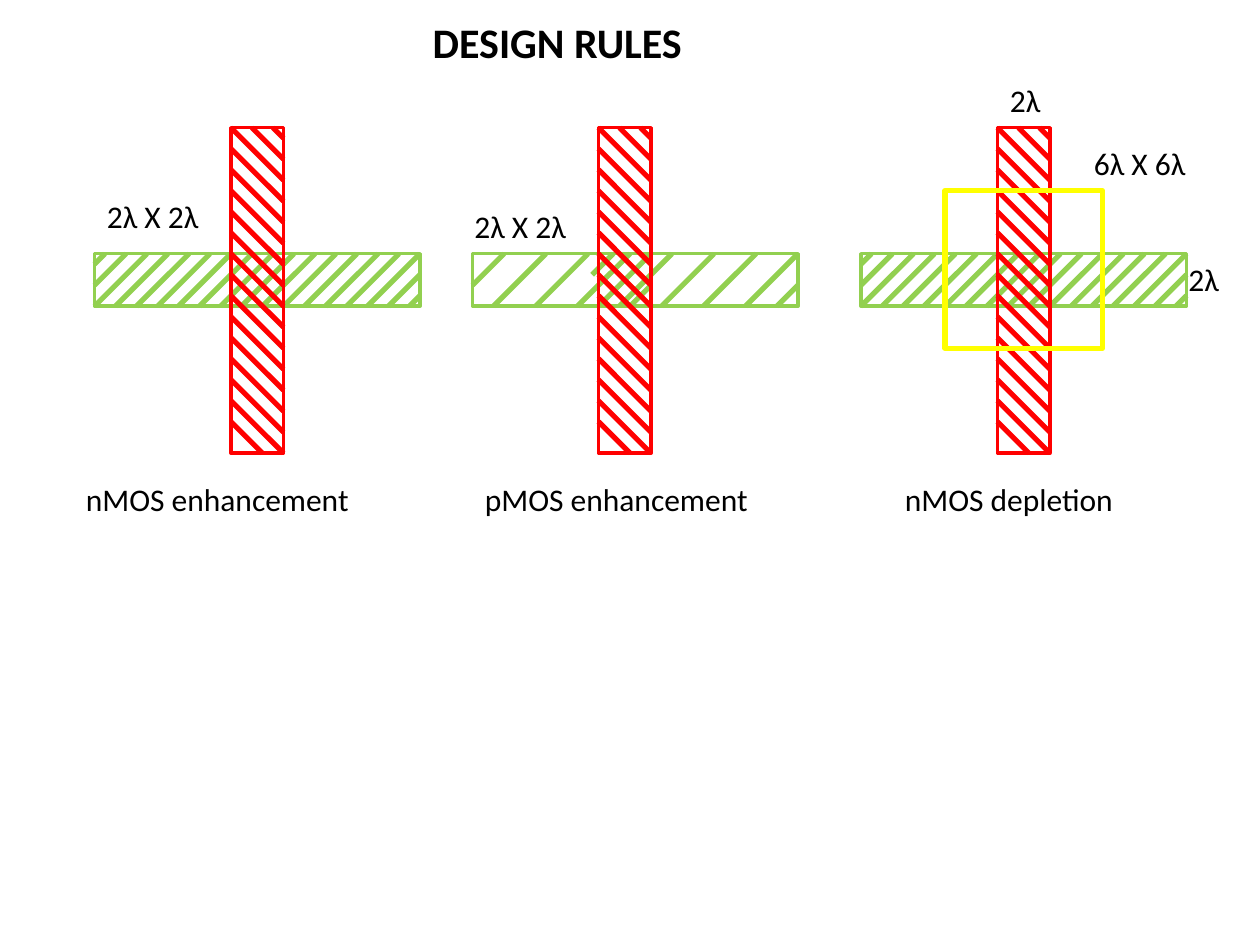
from dataclasses import dataclass

from lxml import etree
from pptx import Presentation
from pptx import util as u
from pptx.dml.color import RGBColor
from pptx.enum import shapes, text
from pptx.oxml.ns import qn

GREEN, RED, YELLOW, BLACK = "92D050", "FF0000", "FFFF00", "000000"
LENGTH, WIDTH = 186, 30        # both bars of a transistor
DIFF_TOP, POLY_TOP = 145, 73   # tops of the green and the red bars
PITCH = 12                     # gap between hatch lines


@dataclass(frozen=True)
class Transistor:
    diff_left: float
    poly_left: float
    hatch: tuple


@dataclass(frozen=True)
class Label:
    words: str
    left: float
    top: float
    width: float


DENSE = tuple(range(6, LENGTH + WIDTH, PITCH))
SPARSE = (*range(18, LENGTH + 1, 2 * PITCH), 204)
POLY_HATCH = tuple(range(6, LENGTH + PITCH + 1, PITCH))

TRANSISTORS = [
    Transistor(54, 132, DENSE),
    Transistor(270, 342, SPARSE),
    Transistor(492, 570, DENSE),
]
# Extra hatching under the gate of the pMOS transistor: x1, y1, x2, y2
PMOS_GATE = [(342, 175, 372, 145), (360, 175, 372, 163), (338.4, 157, 350.4, 145)]

LABELS = [
    Label("2λ X 2λ", 54, 109, 78),
    Label("2λ X 2λ", 264, 115, 78),
    Label("6λ X 6λ", 618, 79, 78),
    Label("2λ", 570, 43, 36),
    Label("2λ", 672, 145, 36),
    Label("nMOS enhancement", 42, 271, 216),
    Label("pMOS enhancement", 270, 271, 198),
    Label("nMOS depletion", 510, 271, 174),
]


def color(value: str) -> RGBColor:
    return RGBColor.from_string(value)


def write(sp, words: str, *, size: float = 18, bold: bool = False) -> None:
    tf = sp.text_frame
    tf.word_wrap = True
    tf.auto_size = text.MSO_AUTO_SIZE.NONE
    tf.vertical_anchor = text.MSO_ANCHOR.TOP
    p = tf.paragraphs[0]
    p.alignment = text.PP_ALIGN.LEFT
    r = p.add_run()
    r.text = words
    r.font.name, r.font.size, r.font.bold = "Calibri", u.Pt(size), bold
    r.font.color.rgb = color(BLACK)


def outline(parent, left: float, top: float, width: float, height: float,
            stroke: str, weight: float) -> None:
    sp = parent.add_shape(shapes.MSO_SHAPE.RECTANGLE, u.Pt(left), u.Pt(top),
                          u.Pt(width), u.Pt(height))
    sp.shadow.inherit = False
    sp.fill.background()
    sp.line.color.rgb = color(stroke)
    sp.line.width = u.Pt(weight)


def line(parent, x1: float, y1: float, x2: float, y2: float, stroke: str) -> None:
    cx = parent.add_connector(shapes.MSO_CONNECTOR.STRAIGHT,
                              u.Pt(x1), u.Pt(y1), u.Pt(x2), u.Pt(y2))
    cx.line.color.rgb = color(stroke)
    cx.line.width = u.Pt(3)
    etree.SubElement(cx._element.spPr, qn("a:effectLst"))


def diagonal(c: float) -> tuple:
    """Ends (along, across) of the line along + across = c, cut to the bar."""
    return (max(0, c - WIDTH), min(c, WIDTH)), (min(c, LENGTH), max(0, c - LENGTH))


def diffusion(parent, left: float, hatch: tuple) -> None:
    outline(parent, left, DIFF_TOP, LENGTH, WIDTH, GREEN, 2)
    for c in hatch:
        (a1, b1), (a2, b2) = diagonal(c)
        line(parent, left + a1, DIFF_TOP + b1, left + a2, DIFF_TOP + b2, GREEN)


def polysilicon(parent, left: float) -> None:
    outline(parent, left, POLY_TOP, WIDTH, LENGTH, RED, 2)
    right = left + WIDTH
    for c in POLY_HATCH:
        (a1, b1), (a2, b2) = diagonal(c)
        line(parent, right - b1, POLY_TOP + a1, right - b2, POLY_TOP + a2, RED)


def main() -> None:
    prs = Presentation()
    prs.slide_width, prs.slide_height = u.Pt(720), u.Pt(540)
    s = prs.slides.add_slide(prs.slide_layouts[5])

    # Title
    title = s.shapes.title
    title.left, title.top = u.Pt(240), u.Pt(6)
    title.width, title.height = u.Pt(240), u.Pt(37)
    write(title, "DESIGN RULES", size=24, bold=True)

    # Diffusion bars, then the gate hatching, then the polysilicon on top
    for t in TRANSISTORS:
        diffusion(s.shapes, t.diff_left, t.hatch)
    for ends in PMOS_GATE:
        line(s.shapes, *ends, GREEN)
    for t in TRANSISTORS:
        polysilicon(s.shapes.add_group_shape().shapes, t.poly_left)

    # Implant around the depletion gate
    outline(s.shapes, 540, 109, 90, 90, YELLOW, 3)

    # Sizes and captions
    for label in LABELS:
        box = s.shapes.add_textbox(u.Pt(label.left), u.Pt(label.top),
                                   u.Pt(label.width), u.Pt(29))
        write(box, label.words)

    prs.save("out.pptx")


if __name__ == "__main__":
    main()
